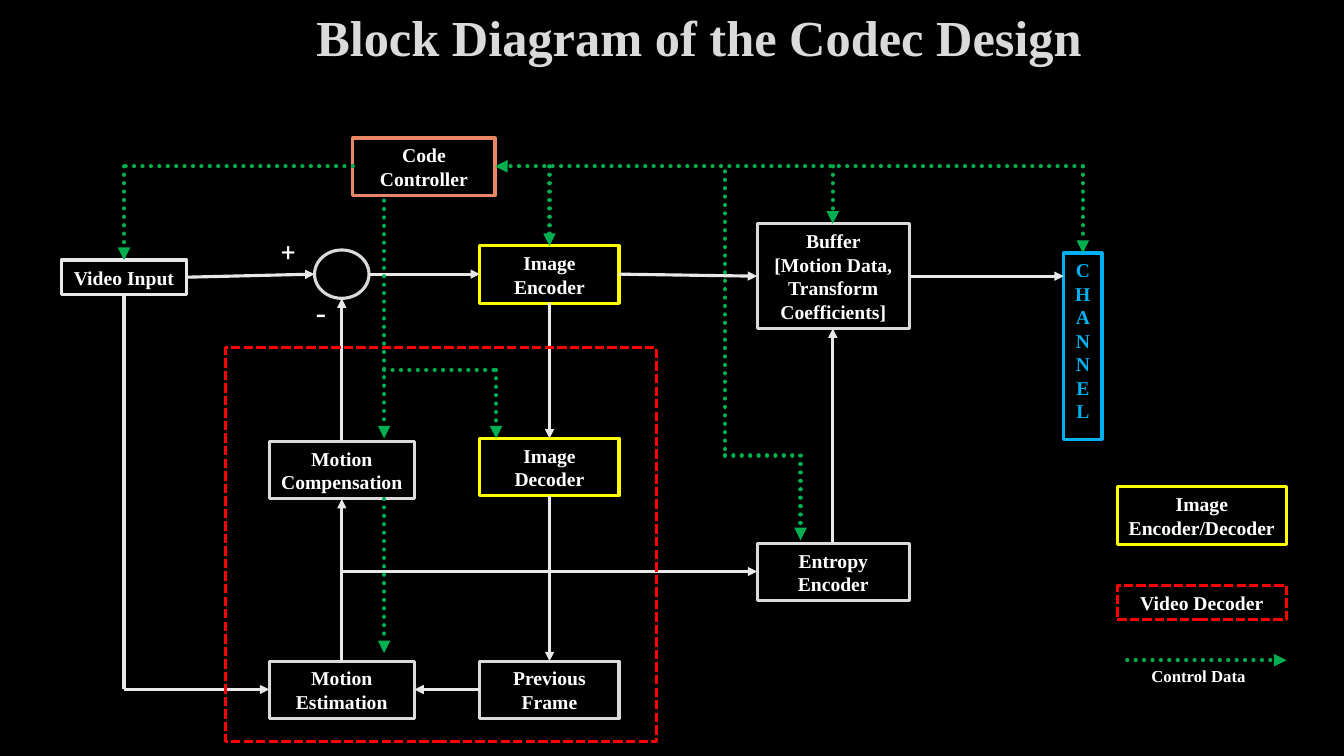
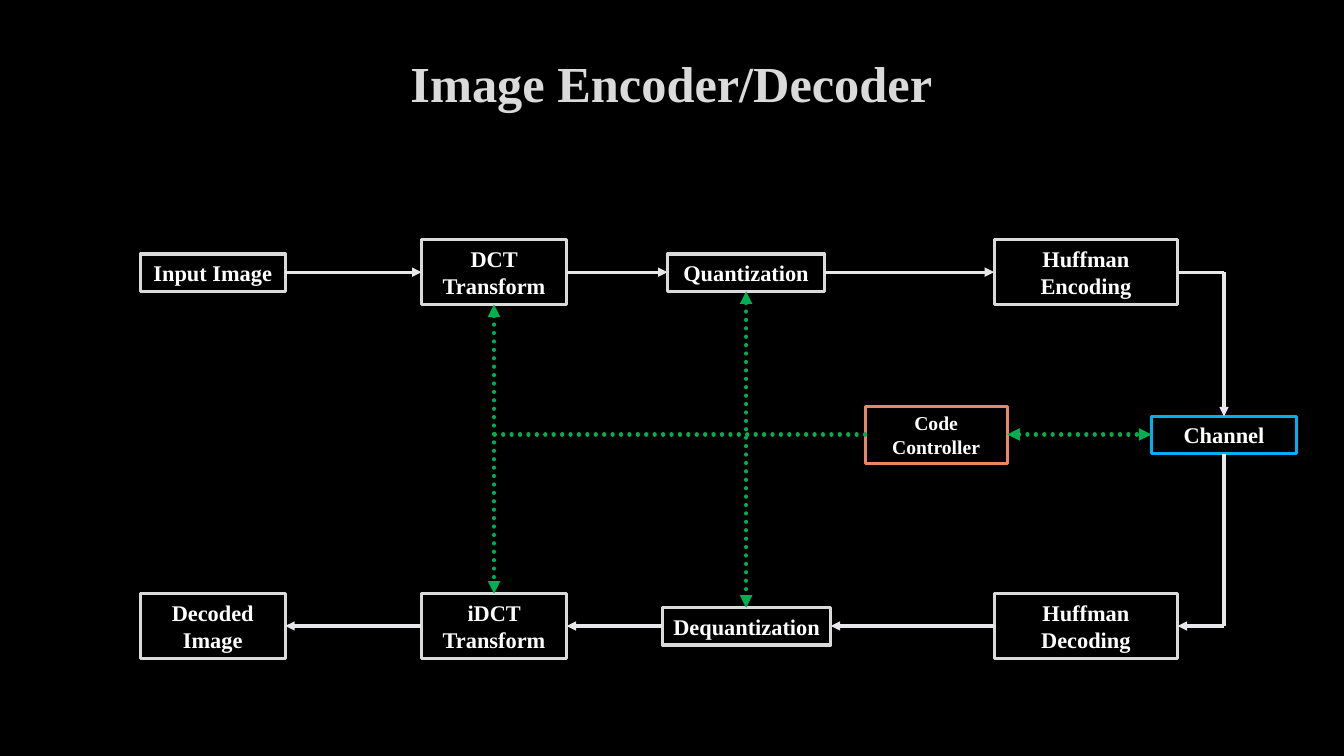
import pptx
import pptx.util
import pptx.dml.color
import pptx.enum.dml
import pptx.enum.shapes
import pptx.enum.text
import pptx.oxml.ns
import lxml.etree

PX = 9144  # EMU in one px, 100 px to the inch
FONT = "Times New Roman"
COLORS = {
    "background": "000000",
    "title": "DADADA",
    "text": "FFFFFF",
    "block": "DADADA",
    "flow": "E8E8EA",
    "control": "00B050",
    "codec": "FFFF00",
    "decoder": "FF0000",
    "controller": "E98764",
    "channel": "00B0F0",
}
SHAPES = pptx.enum.shapes.MSO_SHAPE
ALIGN = pptx.enum.text.PP_ALIGN
ANCHOR = pptx.enum.text.MSO_ANCHOR
DASH = pptx.enum.dml.MSO_LINE
LINES = {"flow": (2.25, None), "control": (3, DASH.ROUND_DOT)}


def rgb(name):
    return pptx.dml.color.RGBColor.from_string(COLORS[name])


def emu(*lengths):
    return [pptx.util.Emu(length * PX) for length in lengths]


def write(frame, text, size=14, color="text", font=FONT, bold=True,
          align=ALIGN.CENTER, anchor=ANCHOR.MIDDLE, inset=10):
    """Fill a text frame, one paragraph for each line of text."""
    frame.word_wrap = True
    frame.auto_size = pptx.enum.text.MSO_AUTO_SIZE.NONE
    frame.vertical_anchor = anchor
    frame.margin_left, frame.margin_right = emu(inset, inset)
    frame.margin_top, frame.margin_bottom = emu(5, 5)
    for index, line in enumerate(text.split("\n")):
        para = frame.add_paragraph() if index else frame.paragraphs[0]
        para.alignment = align
        span = para.add_run()
        span.text = line
        span.font.name = font
        span.font.size = pptx.util.Pt(size)
        span.font.bold = bold
        span.font.color.rgb = rgb(color)


def shift(area, left, top, width, height):
    """Turn a box inside an area into a box on the page."""
    return area[0] + left, area[1] + top, width, height


def add_block(page, box, text="", line="block", kind=SHAPES.RECTANGLE,
              dash=None, **style):
    """Draw an outlined block and give back its box for the links."""
    shape = page.shapes.add_shape(kind, *emu(*box))
    shape.shadow.inherit = False
    shape.fill.background()
    shape.line.color.rgb = rgb(line)
    shape.line.width = pptx.util.Pt(2.25)
    if dash:
        shape.line.dash_style = dash
    if text:
        write(shape.text_frame, text, **style)
    return box


def add_label(page, box, text, **style):
    label = page.shapes.add_textbox(*emu(*box))
    write(label.text_frame, text, align=ALIGN.LEFT, anchor=ANCHOR.TOP, **style)


def side(box, name):
    """Middle point of one side of a box."""
    left, top, width, height = box
    middle, centre = left + width // 2, top + height // 2
    return {"left": (left, centre), "right": (left + width, centre),
            "top": (middle, top), "bottom": (middle, top + height)}[name]


def add_route(page, points, kind="flow", head=False, tail=True):
    """Join points with straight lines, with arrowheads at the ends."""
    width, dash = LINES[kind]
    last = len(points) - 2
    for index, (start, end) in enumerate(zip(points, points[1:])):
        connector = page.shapes.add_connector(
            pptx.enum.shapes.MSO_CONNECTOR.STRAIGHT, *emu(*start, *end))
        connector.line.color.rgb = rgb(kind)
        connector.line.width = pptx.util.Pt(width)
        outline = connector.get_or_add_ln()
        if dash:
            connector.line.dash_style = dash
            outline.set("cap", "rnd")
        ends = [("a:headEnd", head and index == 0),
                ("a:tailEnd", tail and index == last)]
        for tag, wanted in ends:
            if wanted:
                arrow = lxml.etree.SubElement(outline, pptx.oxml.ns.qn(tag))
                arrow.set("type", "triangle")
        lxml.etree.SubElement(connector._element.spPr,
                              pptx.oxml.ns.qn("a:effectLst"))


def add_page(deck, title, box):
    """Add a page with the shared title style."""
    page = deck.slides.add_slide(deck.slide_layouts[5])
    holder = page.shapes.title
    holder.left, holder.top, holder.width, holder.height = emu(*box)
    write(holder.text_frame, title, size=36, color="title")
    return page


def draw_codec(page, area):
    """Block diagram of the whole codec."""
    def place(left, top, width, height, text="", **style):
        return add_block(page, shift(area, left, top, width, height), text, **style)

    def at(*points):
        return [(area[0] + x, area[1] + y) for x, y in points]

    # Blocks
    video = place(0, 121, 124, 34, "Video Input", line="flow")
    compensation = place(206, 301, 144, 57, "Motion Compensation")
    estimation = place(206, 519, 144, 57, "Motion Estimation")
    encoder = place(415, 107, 138, 57, "Image Encoder", line="codec")
    decoder = place(415, 298, 138, 57, "Image Decoder", line="codec")
    previous = place(415, 519, 138, 57, "Previous Frame")
    adder = place(251, 111, 54, 48, kind=SHAPES.OVAL)
    buffer = place(690, 85, 151, 104,
                   "Buffer\n[Motion Data, Transform Coefficients]")
    controller = place(289, 0, 141, 57, "Code Controller", line="controller")
    entropy = place(690, 402, 151, 57, "Entropy Encoder")
    channel = place(994, 114, 38, 185, "CHANN\nE\nL", line="channel",
                    color="channel", anchor=ANCHOR.TOP)

    # Data flow
    for start, leaving, end, entering in [
            (video, "right", adder, "left"),
            (adder, "right", encoder, "left"),
            (encoder, "right", buffer, "left"),
            (previous, "left", estimation, "right"),
            (compensation, "top", adder, "bottom"),
            (estimation, "top", compensation, "bottom"),
            (encoder, "bottom", decoder, "top"),
            (decoder, "bottom", previous, "top"),
            (entropy, "top", buffer, "bottom")]:
        add_route(page, [side(start, leaving), side(end, entering)])
    output = side(buffer, "right")
    add_route(page, [output, (channel[0], output[1])])
    down, across = side(video, "bottom"), side(estimation, "left")
    add_route(page, [down, (down[0], across[1]), across])
    entry = side(entropy, "left")
    add_route(page, [(side(estimation, "top")[0], entry[1]), entry])

    # Control data: the bus, its branches, then the bent routes
    bus = side(controller, "right")
    add_route(page, [(side(channel, "top")[0], bus[1]), bus], "control")
    for target in (encoder, buffer, channel):
        x, y = side(target, "top")
        add_route(page, [(x, bus[1]), (x, y)], "control")
    top = side(video, "top")
    add_route(page, [side(controller, "left"), (top[0], bus[1]), top], "control")
    for points in [
            [(320, 62), (320, 298)],
            [(320, 230), (431, 230), (431, 298)],
            [(320, 358), (320, 511)],
            [(658, 33), (658, 315), (733, 315), (733, 399)]]:
        add_route(page, at(*points), "control")

    # Video decoder frame and signs of the adder
    place(163, 208, 427, 391, line="decoder", dash=DASH.SQUARE_DOT)
    for box, sign, size in [((208, 93, 42, 40), "+", 18),
                            ((243, 149, 42, 50), "-", 24)]:
        add_label(page, shift(area, *box), sign, size=size, font="Roboto",
                  bold=False)


def draw_legend(page, area):
    """Key to the outlines and to the dotted arrow."""
    left, top, width, height = area
    add_block(page, (left, top, width, 57), "Image Encoder/Decoder", line="codec",
              inset=8)
    add_block(page, (left, top + 98, width, 34), "Video Decoder",
              line="decoder", dash=DASH.SQUARE_DOT)
    add_route(page, [(left + 10, top + 172), (left + width, top + 172)], "control")
    add_label(page, (left + 24, top + height - 30, 161, 30), "Control Data",
              size=12)


def draw_image_coder(page, area):
    """Encoding row above, decoding row below, controller between."""
    rows = {"encode": 32, "control": 193, "decode": 383}
    columns = {"image": 72, "transform": 351, "quantizer": 601,
               "controller": 789, "entropy": 938, "channel": 1075}

    def place(column, row, width, height, text, size=16, **style):
        left, top = columns[column] - width // 2, rows[row] - height // 2
        return add_block(page, shift(area, left, top, width, height), text,
                         size=size, **style)

    # Blocks
    source = place("image", "encode", 144, 37, "Input Image")
    dct = place("transform", "encode", 144, 64, "DCT Transform")
    quantizer = place("quantizer", "encode", 156, 37, "Quantization")
    packer = place("entropy", "encode", 182, 64, "Huffman Encoding")
    channel = place("channel", "control", 144, 37, "Channel", line="channel")
    unpacker = place("entropy", "decode", 182, 64, "Huffman Decoding")
    dequantizer = place("quantizer", "decode", 167, 37, "Dequantization", inset=6)
    idct = place("transform", "decode", 144, 64, "iDCT Transform")
    result = place("image", "decode", 144, 64, "Decoded Image")
    controller = place("controller", "control", 141, 57, "Code Controller",
                       size=14, line="controller")

    # Data flow along both rows and through the channel
    encoding = [source, dct, quantizer, packer]
    decoding = [unpacker, dequantizer, idct, result]
    for chain, leaving, entering in [(encoding, "right", "left"),
                                     (decoding, "left", "right")]:
        for start, end in zip(chain, chain[1:]):
            add_route(page, [side(start, leaving), side(end, entering)])
    sent, received = side(packer, "right"), side(unpacker, "right")
    entry, leave = side(channel, "top"), side(channel, "bottom")
    add_route(page, [sent, (entry[0], sent[1]), entry])
    add_route(page, [leave, (leave[0], received[1]), received])

    # Control data
    for start, leaving, end, entering in [
            (dct, "bottom", idct, "top"),
            (quantizer, "bottom", dequantizer, "top"),
            (controller, "right", channel, "left")]:
        add_route(page, [side(start, leaving), side(end, entering)], "control",
                  head=True)
    origin = side(controller, "left")
    add_route(page, [origin, (side(dct, "bottom")[0], origin[1])], "control",
              tail=False)


def main():
    deck = pptx.Presentation()
    deck.slide_width, deck.slide_height = emu(1333, 750)
    backdrop = deck.slide_master.background.fill
    backdrop.solid()
    backdrop.fore_color.rgb = rgb("background")

    page = add_page(deck, "Block Diagram of the Codec Design", (27, -2, 1333, 77))
    draw_codec(page, (61, 137, 1032, 599))
    draw_legend(page, (1108, 483, 168, 203))

    page = add_page(deck, "Image Encoder/Decoder", (100, 29, 1132, 106))
    draw_image_coder(page, (139, 238, 1147, 415))

    deck.save("out.pptx")


if __name__ == "__main__":
    main()
